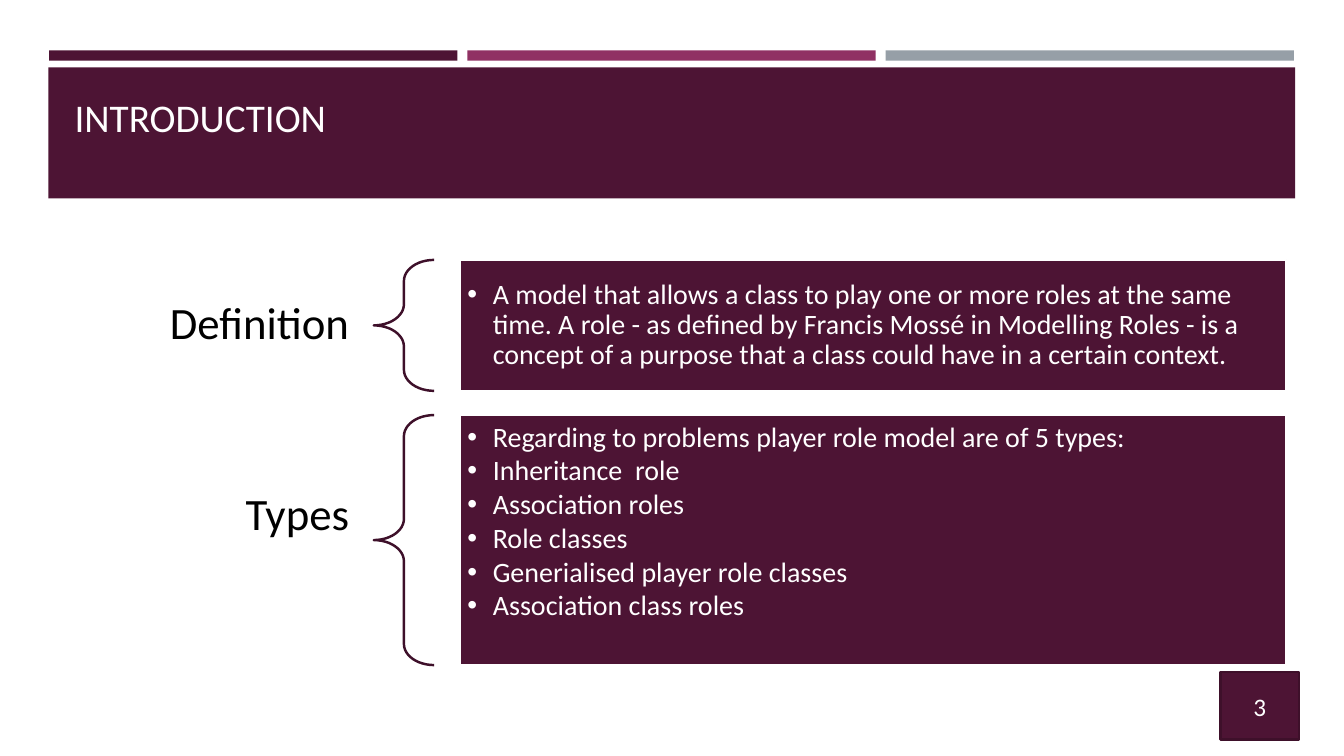
"""Build the introduction slide with two braced topics: definition and types."""
from pptx import Presentation
from pptx.dml.color import RGBColor
from pptx.enum import shapes, text
from pptx.util import Cm, Pt

PLUM = RGBColor(0x4D, 0x14, 0x34)
MAGENTA = RGBColor(0x90, 0x31, 0x63)
GREY = RGBColor(0x96, 0x9F, 0xA7)
DARK = RGBColor(0x3E, 0x10, 0x2A)
WHITE = RGBColor(0xFF, 0xFF, 0xFF)
BLACK = RGBColor(0, 0, 0)
FONT = "Calibri"
MIDDLE, TOP = text.MSO_ANCHOR.MIDDLE, text.MSO_ANCHOR.TOP
LEFT, CENTER, RIGHT = text.PP_ALIGN.LEFT, text.PP_ALIGN.CENTER, text.PP_ALIGN.RIGHT
RECTANGLE = shapes.MSO_SHAPE.RECTANGLE

TITLE = "INTRODUCTION"
PAGE_NUMBER = "3"
TOPICS = [
    {"label": "Definition", "top": 6.55, "height": 3.3, "label_top": 6.55, "anchor": MIDDLE,
     "points": ["A model that allows a class to play one or more roles at the same time. "
                "A role - as defined by Francis Mossé in Modelling Roles\u00a0- is a concept "
                "of a purpose that a class could have in a certain context."]},
    {"label": "Types", "top": 10.46, "height": 6.3, "label_top": 11.35, "anchor": TOP,
     "points": ["Regarding to problems player role model are of 5 types:",
                "Inheritance  role", "Association roles", "Role classes",
                "Generialised player role classes", "Association class roles"]},
]
BAR_COLOURS = [PLUM, MAGENTA, GREY]
BAR_LEFT, BAR_STEP, BAR_WIDTH = 1.24, 10.54, 10.29
LABEL_HEIGHT = 3.3
INDENT = Cm(0.64)


def place(shape, left, top, width, height):
    shape.left, shape.top, shape.width, shape.height = map(Cm, (left, top, width, height))


def paint(shape, fill, line=None):
    shape.fill.solid()
    shape.fill.fore_color.rgb = fill
    if line is None:
        shape.line.fill.background()
    else:
        shape.line.color.rgb = line
        shape.line.width = Pt(1.75)


def add_preset(kind, left, top, width, height):
    shape = page.shapes.add_shape(kind, *map(Cm, (left, top, width, height)))
    shape.shadow.inherit = False
    return shape


def write(shape, lines, size, colour, align, anchor, margins, spacing=1.0, after=0):
    frame = shape.text_frame
    frame.word_wrap = True
    frame.auto_size = text.MSO_AUTO_SIZE.NONE
    frame.vertical_anchor = anchor
    frame.margin_left = frame.margin_right = Cm(margins[0])
    frame.margin_top = frame.margin_bottom = Cm(margins[1])
    for index, line in enumerate(lines):
        para = frame.add_paragraph() if index else frame.paragraphs[0]
        para.alignment = align
        para.line_spacing = spacing
        para.space_before, para.space_after = Pt(0), Pt(after)
        span = para.add_run()
        span.text = line
        span.font.name, span.font.size, span.font.bold = FONT, Pt(size), False
        span.font.color.rgb = colour


deck = Presentation()
deck.slide_width, deck.slide_height = Cm(33.87), Cm(19.05)
page = deck.slides.add_slide(deck.slide_layouts.get_by_name("Comparison"))

for index, colour in enumerate(BAR_COLOURS):
    paint(add_preset(RECTANGLE, BAR_LEFT + index * BAR_STEP, 1.27, BAR_WIDTH, 0.26), colour)

title = page.shapes.title
place(title, 1.22, 1.7, 31.42, 3.3)
paint(title, PLUM)
write(title, [TITLE], 28, WHITE, LEFT, TOP, (0.66, 0.64))

bodies = list(page.placeholders)[1:]
for topic, label, points in zip(TOPICS, bodies[::2], bodies[1::2]):
    place(label, 1.78, topic["label_top"], 7.66, LABEL_HEIGHT)
    write(label, [topic["label"]], 32, BLACK, RIGHT, MIDDLE, (0.64, 0.23), 0.9)

    brace = add_preset(shapes.MSO_SHAPE.LEFT_BRACE, 9.42, topic["top"], 1.52, topic["height"])
    brace.adjustments[0] = 0.35
    brace.fill.background()
    brace.line.color.rgb = DARK
    brace.line.width = Pt(1.75)

    place(points, 11.58, topic["top"], 20.83, topic["height"])
    paint(points, PLUM, WHITE)
    write(points, topic["points"], 20, WHITE, LEFT, topic["anchor"], (0.2, 0.2), 0.9, 2.5)
    for para in points.text_frame.paragraphs:
        properties = para._p.get_or_add_pPr()
        properties.set("marL", str(INDENT))
        properties.set("indent", str(-INDENT))

number = add_preset(RECTANGLE, 30.76, 16.94, 1.98, 1.7)
paint(number, PLUM, DARK)
write(number, [PAGE_NUMBER], 18, WHITE, CENTER, MIDDLE, (0.25, 0.13))

deck.save("out.pptx")
